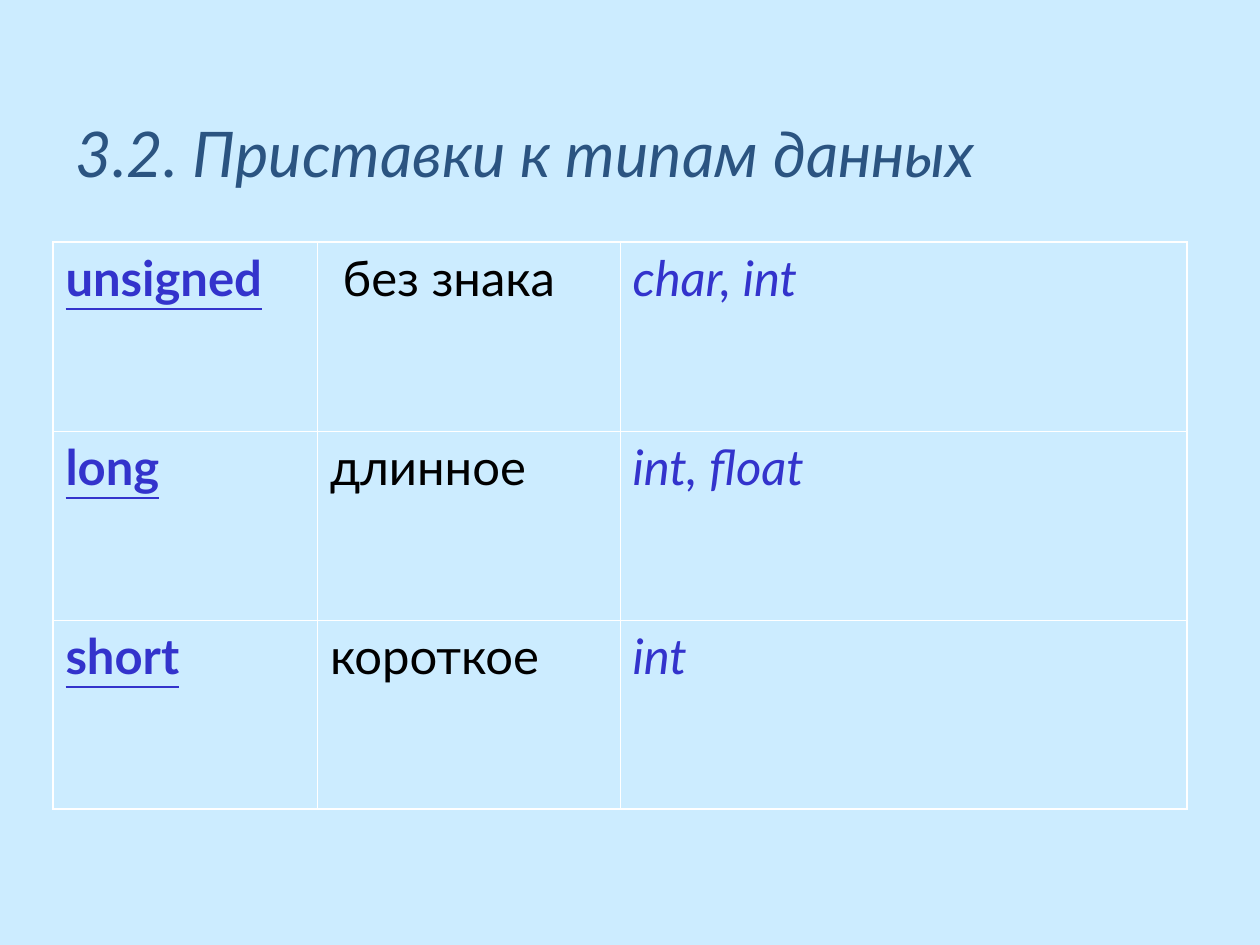
import pptx
import pptx.dml.color
import pptx.enum.text
import pptx.oxml
import pptx.oxml.ns
import pptx.util
from pptx.util import Inches, Pt

RGBColor = pptx.dml.color.RGBColor
BACKGROUND = RGBColor(0xCC, 0xEC, 0xFF)
TITLE_BLUE = RGBColor(0x2B, 0x54, 0x81)
KEYWORD_BLUE = RGBColor(0x33, 0x33, 0xCC)
BLACK = RGBColor(0x00, 0x00, 0x00)
BORDER = RGBColor(0xFF, 0xFF, 0xFF)

OUTER_LINE, INNER_LINE = 1.08, 0.45

# Font settings of the table columns: prefix, meaning, types it applies to
COLUMN_STYLES = [
    dict(color=KEYWORD_BLUE, bold=True, underline=True),
    dict(color=BLACK),
    dict(color=KEYWORD_BLUE, italic=True),
]
COLUMN_WIDTHS = [2.1, 2.4, 4.5]
ROW_HEIGHT = 1.5
PREFIXES = [
    ["unsigned", " без знака", "char, int"],
    ["long", "длинное", "int, float"],
    ["short", "короткое", "int"],
]


class SlideBuilder:
    font_name = "Lato"

    def __init__(self, presentation):
        self.slide = presentation.slides.add_slide(presentation.slide_layouts[5])
        fill = self.slide.background.fill
        fill.solid()
        fill.fore_color.rgb = BACKGROUND

    def format_text(self, text_frame, size, color, bold=False, italic=False, underline=False):
        for paragraph in text_frame.paragraphs:
            paragraph.alignment = pptx.enum.text.PP_ALIGN.LEFT
            for run in paragraph.runs:
                font = run.font
                font.name, font.size = self.font_name, Pt(size)
                font.bold, font.italic, font.underline = bold, italic, underline
                font.color.rgb = color

    def title(self, text, left, top, width, height):
        shape = self.slide.shapes.title
        shape.left, shape.top = Inches(left), Inches(top)
        shape.width, shape.height = Inches(width), Inches(height)
        text_frame = shape.text_frame
        text_frame.text = text
        text_frame.word_wrap = True
        text_frame.auto_size = pptx.enum.text.MSO_AUTO_SIZE.NONE
        text_frame.vertical_anchor = pptx.enum.text.MSO_ANCHOR.MIDDLE
        text_frame.margin_top = Inches(0.13)
        self.format_text(text_frame, 36, TITLE_BLUE, italic=True)

    def cell_borders(self, cell, widths):
        properties = cell._tc.get_or_add_tcPr()
        for index, (side, width) in enumerate(widths.items()):
            properties.insert(index, pptx.oxml.parse_xml(
                f'<a:ln{side} {pptx.oxml.ns.nsdecls("a")} w="{int(Pt(width))}">'
                f'<a:solidFill><a:srgbClr val="{BORDER}"/></a:solidFill></a:ln{side}>'))

    def table(self, rows, left, top):
        row_count, column_count = len(rows), len(COLUMN_WIDTHS)
        table = self.slide.shapes.add_table(
            row_count, column_count, Inches(left), Inches(top),
            Inches(sum(COLUMN_WIDTHS)), Inches(ROW_HEIGHT * row_count)).table
        table.first_row = table.horz_banding = False
        for column, width in zip(table.columns, COLUMN_WIDTHS):
            column.width = Inches(width)

        for row, texts in enumerate(rows):
            for column, text in enumerate(texts):
                cell = table.cell(row, column)
                cell.text_frame.text = text
                cell.fill.background()
                self.format_text(cell.text_frame, 28, **COLUMN_STYLES[column])
                on_edge = {"L": column == 0, "R": column == column_count - 1,
                           "T": row == 0, "B": row == row_count - 1}
                self.cell_borders(cell, {side: OUTER_LINE if outer else INNER_LINE
                                         for side, outer in on_edge.items()})


def main():
    presentation = pptx.Presentation()
    presentation.slide_width, presentation.slide_height = Inches(10), Inches(7.5)
    builder = SlideBuilder(presentation)
    builder.title("3.2. Приставки к типам данных", 0.5, 0.42, 9, 1.5)
    builder.table(PREFIXES, 0.42, 1.92)
    presentation.save("out.pptx")


if __name__ == "__main__":
    main()
